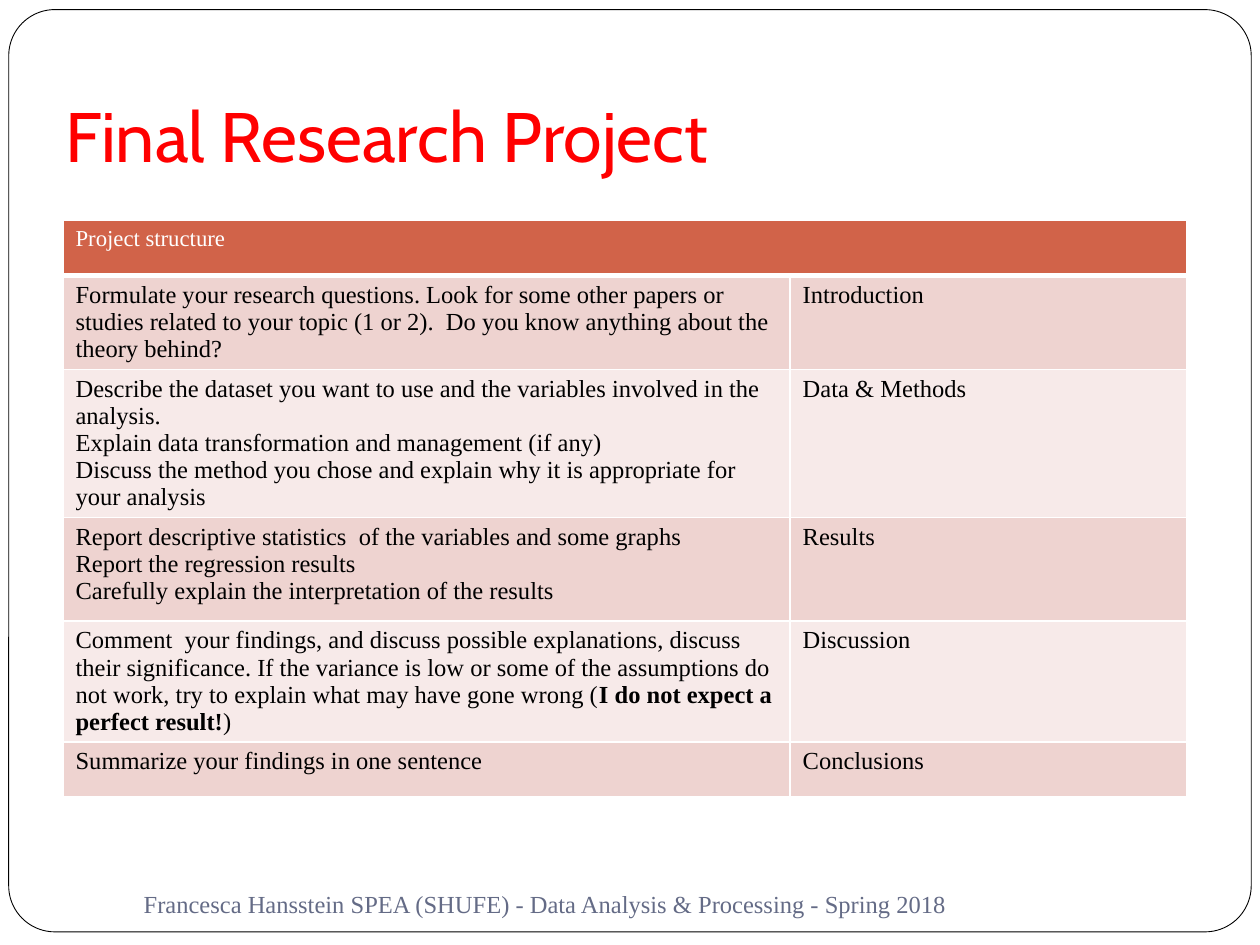
import pptx
import pptx.util
import pptx.dml.color
import pptx.enum.shapes
import pptx.enum.text
import pptx.oxml

Pt = pptx.util.Pt
RGB = pptx.dml.color.RGBColor
ANCHOR = pptx.enum.text.MSO_ANCHOR

RED = RGB(0xFF, 0x00, 0x00)
WHITE = RGB(0xFF, 0xFF, 0xFF)
BLACK = RGB(0x00, 0x00, 0x00)
RUST = RGB(0xD1, 0x63, 0x49)
ROSE = RGB(0xEE, 0xD3, 0xD0)
PALE = RGB(0xF7, 0xEA, 0xE9)
SLATE = RGB(0x64, 0x6B, 0x86)
SERIF = "Times New Roman"

TITLE = "Final Research Project"
FOOTER = "Francesca Hansstein SPEA (SHUFE) - Data Analysis & Processing - Spring 2018"
HEADER = "Project structure"
ROWS = [
    ([["Formulate your research questions. Look for some other papers or studies "
       "related to your topic (1 or 2).  Do you know anything about the theory behind?"]],
     "Introduction", 53.5),
    ([["Describe the dataset you want to use and the variables involved in the analysis."],
      ["Explain data transformation and management (if any)"],
      ["Discuss the method you chose and explain why it is appropriate for your analysis"]],
     "Data & Methods", 84.5),
    ([["Report descriptive statistics  of the variables and some graphs"],
      ["Report the regression results"],
      ["Carefully explain the interpretation of the results"]],
     "Results", 59),
    ([["Comment  your findings, and discuss possible explanations, discuss their "
       "significance. If the variance is low or some of the assumptions do not work, "
       "try to explain what may have gone wrong (",
       "I do not expect a perfect result!", ")"]],
     "Discussion", 69),
    ([["Summarize your findings in one sentence"]], "Conclusions", 31.5),
]
COLS = [415.5, 226.5]
HEAD = 31.5


def write(frame, paras, size, color, font=SERIF):
    for i, runs in enumerate(paras):
        para = frame.paragraphs[0] if i == 0 else frame.add_paragraph()
        for j, text in enumerate(runs):
            run = para.add_run()
            run.text = text
            run.font.size = Pt(size)
            run.font.name = font
            run.font.color.rgb = color
            run.font.bold = j % 2 == 1


def paint(cell, color, base=1):
    props = cell._tc.get_or_add_tcPr()
    for side, width in zip("LRTB", (1, 1, 1, base)):
        props.append(pptx.oxml.parse_xml(
            f'<a:ln{side} xmlns:a="http://schemas.openxmlformats.org/drawingml/2006/main" '
            f'w="{Pt(width)}"><a:solidFill><a:srgbClr val="{WHITE}"/></a:solidFill></a:ln{side}>'))
    cell.fill.solid()
    cell.fill.fore_color.rgb = color


def main():
    deck = pptx.Presentation()
    deck.slide_width, deck.slide_height = Pt(720), Pt(540)
    slide = deck.slides.add_slide(deck.slide_layouts[5])
    shapes = slide.shapes

    frame = shapes.add_shape(pptx.enum.shapes.MSO_SHAPE.ROUNDED_RECTANGLE,
                             Pt(5), Pt(5.5), Pt(710), Pt(527))
    frame.adjustments[0] = 0.05
    frame.shadow.inherit = False
    frame.fill.solid()
    frame.fill.fore_color.rgb = WHITE
    frame.line.color.rgb = BLACK
    frame.line.width = Pt(0.5)
    frame.element.getparent().insert(2, frame.element)

    title = shapes.title
    title.left, title.top, title.width, title.height = Pt(30), Pt(18), Pt(612), Pt(90)
    text = title.text_frame
    text.vertical_anchor = ANCHOR.BOTTOM
    text.margin_bottom = Pt(7.2)
    write(text, [[TITLE]], 40, RED, "Cabin")
    text.paragraphs[0].alignment = pptx.enum.text.PP_ALIGN.LEFT

    high = HEAD + sum(row[2] for row in ROWS)
    table = shapes.add_table(len(ROWS) + 1, len(COLS), Pt(36), Pt(126),
                             Pt(sum(COLS)), Pt(high)).table
    table.first_row = table.horz_banding = False
    for col, width in zip(table.columns, COLS):
        col.width = Pt(width)
    table.rows[0].height = Pt(HEAD)
    for cell in table.rows[0].cells:
        paint(cell, RUST, 3)
    table.cell(0, 0).merge(table.cell(0, 1))
    write(table.cell(0, 0).text_frame, [[HEADER]], 13, WHITE)
    for i, (task, part, height) in enumerate(ROWS, 1):
        table.rows[i].height = Pt(height)
        for cell, paras in zip(table.rows[i].cells, (task, [[part]])):
            paint(cell, ROSE if i % 2 else PALE)
            write(cell.text_frame, paras, 14, BLACK)

    foot = shapes.add_textbox(Pt(75), Pt(502), Pt(594), Pt(29)).text_frame
    foot.word_wrap = True
    foot.vertical_anchor = ANCHOR.MIDDLE
    write(foot, [[FOOTER]], 14, SLATE)

    deck.save("out.pptx")


if __name__ == "__main__":
    main()
